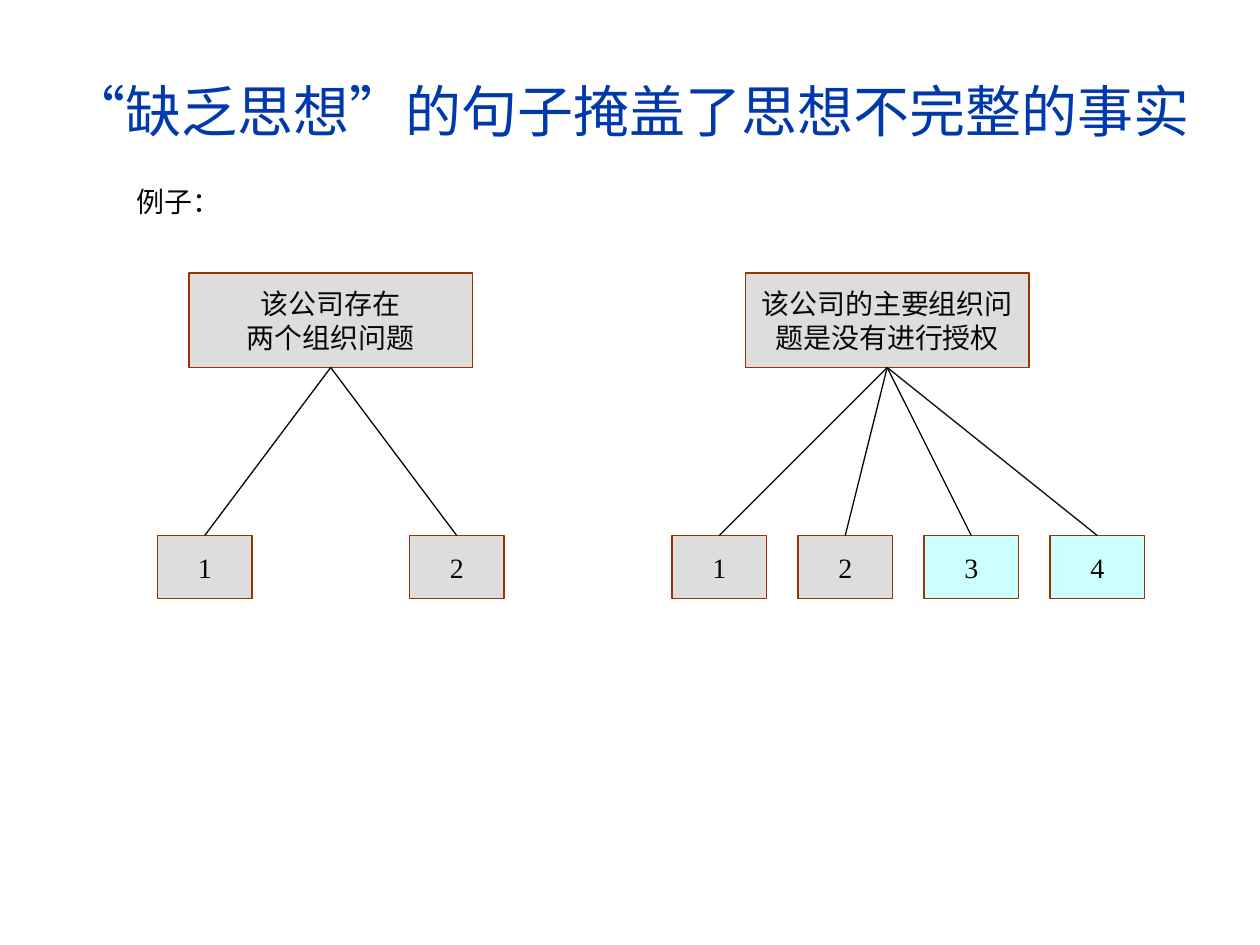
from lxml.etree import SubElement
from pptx import Presentation
from pptx.dml.color import RGBColor as RGB
from pptx.enum.lang import MSO_LANGUAGE_ID as LANG
from pptx.enum.shapes import MSO_CONNECTOR as LINK, MSO_SHAPE as SHAPE
from pptx.enum.text import MSO_ANCHOR as ANCHOR, PP_ALIGN as ALIGN
from pptx.oxml.ns import qn
from pptx.util import Pt

PX = 7620  # 120 px to the inch
COLORS = {"title": "0039AC", "ink": "080808", "edge": "993300",
          "grey": "DDDDDD", "cyan": "CCFFFF"}
TITLE = "“缺乏思想”的句子掩盖了思想不完整的事实"
LABEL = "例子："
TREES = [
    {"lines": ["该公司存在", "两个组织问题"], "left": 180,
     "first": 150, "step": 240, "fills": ["grey", "grey"]},
    {"lines": ["该公司的主要组织问题是没有进行授权"], "left": 710,
     "first": 640, "step": 120, "fills": ["grey", "grey", "cyan", "cyan"]},
]
ROOT_TOP, ROOT_W, ROOT_H = 260, 270, 90
LEAF_TOP, LEAF_W, LEAF_H = 510, 90, 60
HEAD = {"name": "Arial", "size": Pt(32), "language_id": LANG.SIMPLIFIED_CHINESE}
BODY = {"name": "Times New Roman", "size": Pt(16),
        "language_id": LANG.SIMPLIFIED_CHINESE}

deck = Presentation()
deck.slide_width, deck.slide_height = 1200 * PX, 900 * PX
slide = deck.slides.add_slide(deck.slide_layouts[6])
shapes = slide.shapes


def scale(*lengths):
    return [round(n * PX) for n in lengths]


def write(shape, lines, style=BODY, color="ink", wrap=True,
          anchor=ANCHOR.MIDDLE):
    frame = shape.text_frame
    frame.word_wrap, frame.vertical_anchor = wrap, anchor
    frame.text = "\n".join(lines)
    for para in frame.paragraphs:
        para.alignment = ALIGN.CENTER
        for run in para.runs:
            for key, value in style.items():
                setattr(run.font, key, value)
            run.font.color.rgb = RGB.from_string(COLORS[color])


def add_box(lines, fill, *place, wrap=True):
    box = shapes.add_shape(SHAPE.RECTANGLE, *scale(*place))
    box.shadow.inherit = False
    box.fill.solid()
    box.fill.fore_color.rgb = RGB.from_string(COLORS[fill])
    box.line.color.rgb = RGB.from_string(COLORS["edge"])
    box.line.width = Pt(0.75)
    write(box, lines, wrap=wrap)


def add_link(*ends):
    link = shapes.add_connector(LINK.STRAIGHT, *scale(*ends))
    link.line.color.rgb = RGB.from_string(COLORS["ink"])
    link.line.width = Pt(0.75)
    SubElement(link._element.spPr, qn("a:effectLst"))


write(shapes.add_textbox(*scale(40, 30, 1120, 150)), [TITLE], HEAD, "title")

for tree in TREES:
    add_box(tree["lines"], "grey", tree["left"], ROOT_TOP, ROOT_W, ROOT_H)
    for i, fill in enumerate(tree["fills"]):
        left = tree["first"] + i * tree["step"]
        add_box([str(i + 1)], fill, left, LEAF_TOP, LEAF_W, LEAF_H, wrap=False)
        add_link(tree["left"] + ROOT_W / 2, ROOT_TOP + ROOT_H,
                 left + LEAF_W / 2, LEAF_TOP)

write(shapes.add_textbox(*scale(100, 170, 140, 44)), [LABEL],
      anchor=ANCHOR.TOP)

deck.save("out.pptx")
